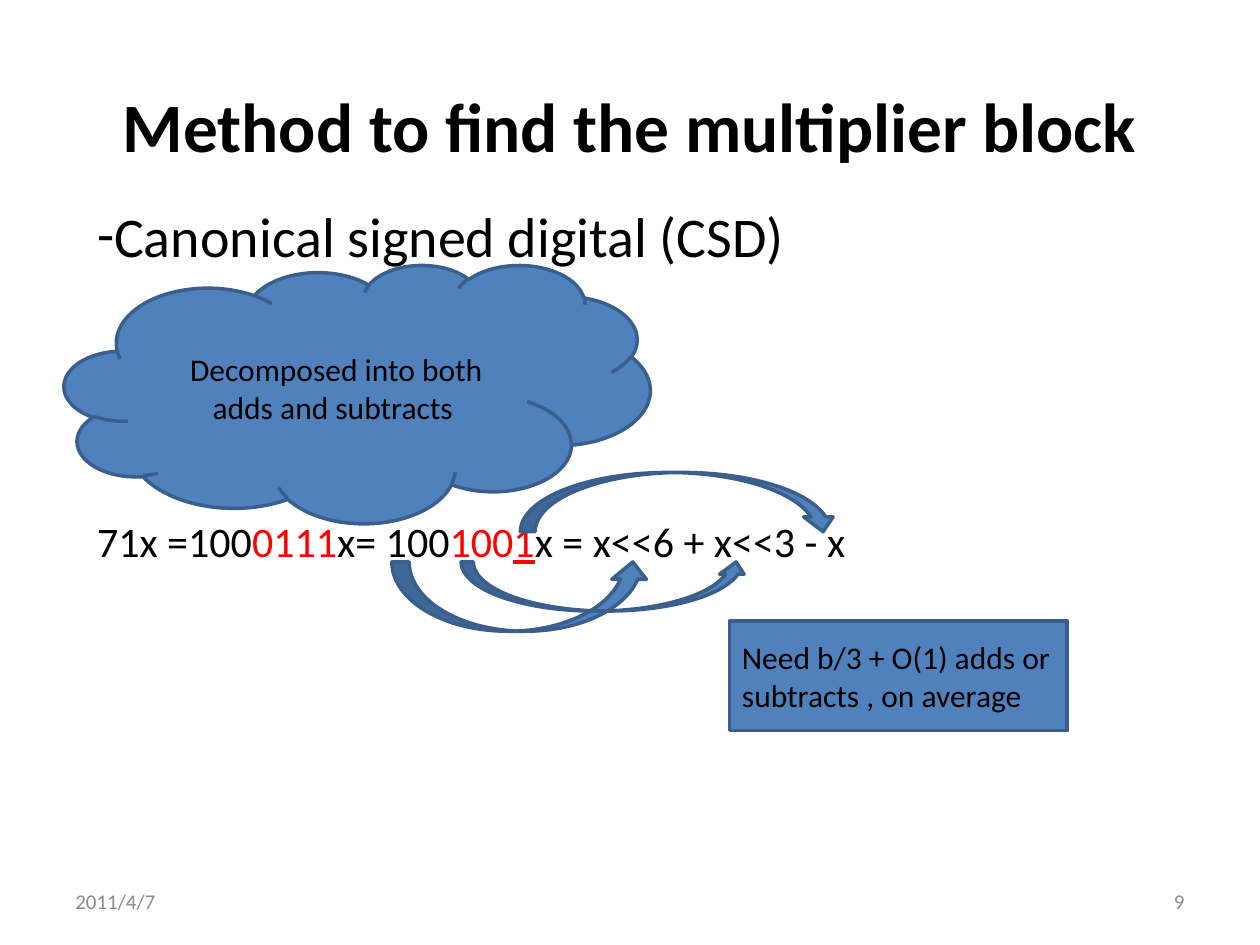
from lxml import etree
from pptx import Presentation
from pptx.dml.color import RGBColor
from pptx.enum.shapes import MSO_SHAPE
from pptx.enum.text import MSO_ANCHOR, MSO_AUTO_SIZE, PP_ALIGN
from pptx.oxml.ns import qn
from pptx.util import Inches, Pt

CLOUD, RECTANGLE = MSO_SHAPE.CLOUD, MSO_SHAPE.RECTANGLE
ARROW_UP, ARROW_DOWN = MSO_SHAPE.CURVED_UP_ARROW, MSO_SHAPE.CURVED_DOWN_ARROW
LEFT, CENTER, RIGHT = PP_ALIGN.LEFT, PP_ALIGN.CENTER, PP_ALIGN.RIGHT
TOP, MIDDLE = MSO_ANCHOR.TOP, MSO_ANCHOR.MIDDLE
NO_FIT = MSO_AUTO_SIZE.NONE

COLORS = {
    "text": "000000",
    "digit": "FF0000",
    "footer": "8C8C8C",
    "fill": "4F81BD",
    "outline": "3A5F8C",
}
COLUMNS, ROWS = 100, 75


def color(name):
    return RGBColor.from_string(COLORS[name])


class SlideBuilder:
    font = "Calibri"
    line_width = Pt(2)

    def __init__(self, deck):
        self.deck = deck
        self.slide = deck.slides.add_slide(deck.slide_layouts[0])

    def area(self, left, top, width, height):
        column = self.deck.slide_width / COLUMNS
        row = self.deck.slide_height / ROWS
        return [int(n) for n in (left * column, top * row, width * column, height * row)]

    def apply(self, target, **values):
        for name, value in values.items():
            setattr(target, name, value)

    def place(self, box, cells):
        self.apply(box, **dict(zip(("left", "top", "width", "height"), self.area(*cells))))

    def frame(self, box, anchor=MIDDLE):
        frame = box.text_frame
        self.apply(frame, word_wrap=True, auto_size=NO_FIT, vertical_anchor=anchor)
        return frame

    def add_spans(self, para, spans, size, align=LEFT, before=0, bold=False):
        self.apply(para, alignment=align, space_before=Pt(before))
        for text, shade, underline in spans:
            span = para.add_run()
            span.text = text
            self.apply(span.font, name=self.font, size=Pt(size), bold=bold,
                       underline=underline)
            span.font.color.rgb = color(shade)

    def title(self, cells, text, size):
        box = self.slide.shapes.title
        self.place(box, cells)
        self.add_spans(self.frame(box).paragraphs[0], [(text, "text", False)],
                       size, CENTER, bold=True)

    def body(self, cells, heading, formula):
        box = self.slide.placeholders[1]
        self.place(box, cells)
        frame = self.frame(box, TOP)
        para = frame.paragraphs[0]
        properties = para._p.get_or_add_pPr()
        properties.set("marL", "0")
        properties.set("indent", "0")
        etree.SubElement(properties, qn("a:buFont"), typeface=self.font)
        etree.SubElement(properties, qn("a:buChar"), char="-")
        self.add_spans(para, [(heading, "text", False)], 32)
        self.add_spans(frame.add_paragraph(), formula, 24, before=141)

    def footer(self, cells, text, align):
        box = self.slide.shapes.add_textbox(*self.area(*cells))
        self.add_spans(self.frame(box).paragraphs[0], [(text, "footer", False)], 12, align)

    def shape(self, kind, cells, text="", align=LEFT):
        box = self.slide.shapes.add_shape(kind, *self.area(*cells))
        box.shadow.inherit = False
        box.fill.solid()
        box.fill.fore_color.rgb = color("fill")
        box.line.color.rgb = color("outline")
        box.line.width = self.line_width
        if text:
            self.add_spans(self.frame(box).paragraphs[0], [(text, "text", False)], 18, align)


def main():
    deck = Presentation()
    deck.slide_width, deck.slide_height = Inches(10), Inches(7.5)
    page = SlideBuilder(deck)

    page.title((7.5, 4.4, 85, 11), "Method to find the multiplier block", 39.6)
    page.body((6.7, 15.5, 87.4, 49.6), "Canonical signed digital (CSD)", [
        ("71x =100", "text", False),
        ("0111", "digit", False),
        ("x= 100", "text", False),
        ("100", "digit", False),
        ("1", "digit", True),
        ("x = x<<6 + x<<3 - x", "text", False),
    ])
    for left, text, align in ((5, "2011/4/7", LEFT), (71.7, "9", RIGHT)):
        page.footer((left, 69.5, 23.3, 4), text, align)

    page.shape(CLOUD, (5.1, 21, 46.5, 20.5),
               "Decomposed into both adds and subtracts ", CENTER)
    for kind, cells in (
        (ARROW_UP, (31.1, 44.6, 20.5, 5.5)),
        (ARROW_UP, (36.6, 44.6, 22.8, 3.9)),
        (ARROW_DOWN, (41.3, 37.5, 25.2, 4.7)),
    ):
        page.shape(kind, cells)
    page.shape(RECTANGLE, (57.9, 49.3, 26.8, 8.7),
               "Need b/3 + O(1) adds or subtracts , on average")

    deck.save("out.pptx")


if __name__ == "__main__":
    main()
